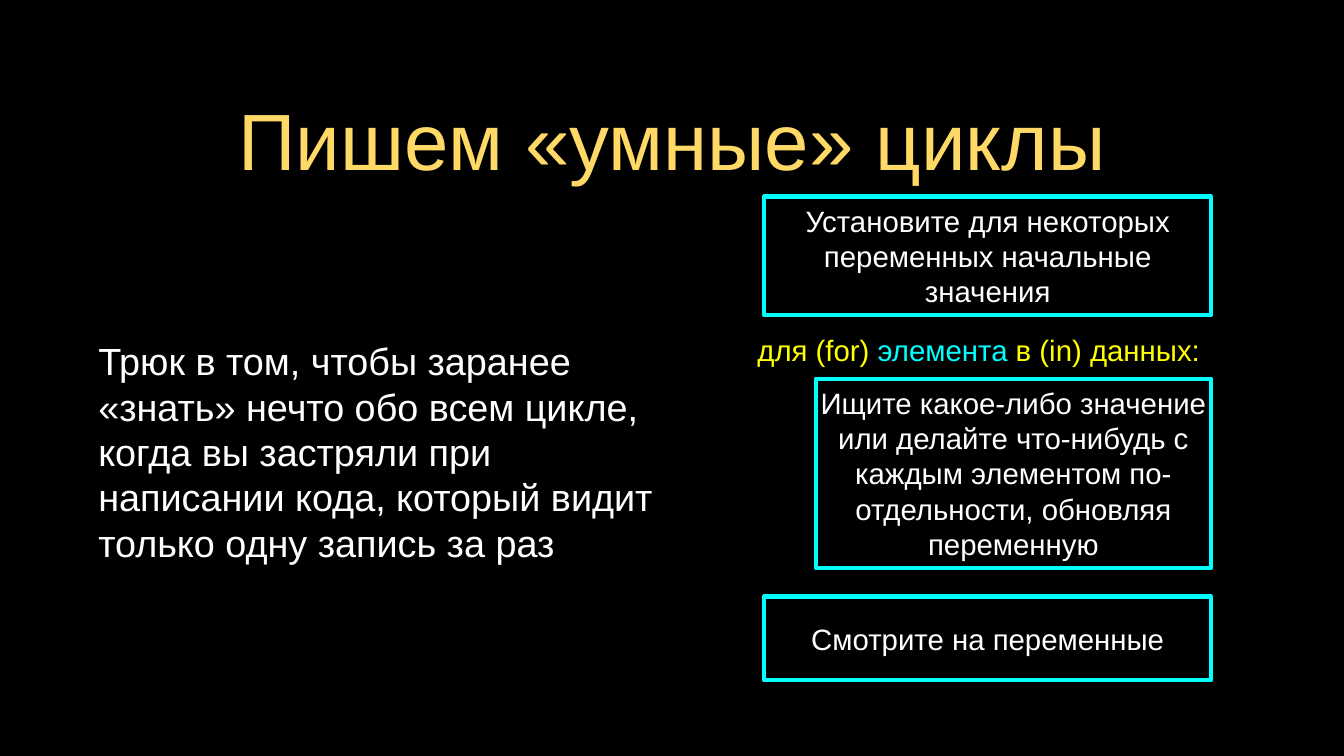
from pptx import Presentation
from pptx.dml.color import RGBColor
from pptx.enum.shapes import MSO_SHAPE
from pptx.enum.text import MSO_ANCHOR, PP_ALIGN
from pptx.util import Inches, Pt

RECT = MSO_SHAPE.RECTANGLE
MIDDLE = MSO_ANCHOR.MIDDLE
LEFT, CENTER = PP_ALIGN.LEFT, PP_ALIGN.CENTER

# Content
COLORS = {"back": "000000", "gold": "FFD966", "white": "FFFFFF",
          "cyan": "00FFFF", "yellow": "FFFF00"}
TITLE = [("Пишем «умные» циклы", "gold")]
BODY = [("Трюк в том, чтобы заранее «знать» нечто обо всем цикле, когда вы "
         "застряли при написании кода, который видит только одну запись за раз",
         "white")]
LOOP = [("для (for) ", "yellow"), ("элемента ", "cyan"),
        ("в (in) данных:", "yellow")]
# Loop steps: text, indent level, top, height
STEPS = [
    ("Установите для некоторых переменных начальные значения", 0, 2.6, 1.57),
    ("Ищите какое-либо значение или делайте что-нибудь с каждым элементом "
     "по-отдельности, обновляя переменную", 1, 5.01, 2.5),
    ("Смотрите на переменные", 0, 7.89, 1.11),
]

# Grid
WIDE, HIGH = 17.78, 10
EDGE = 1.26
COL, END, INDENT = 10.11, 16.02, 0.68
PAD = 0.04
LEAD = 1.2  # line pitch as a share of the text size


def color(name):
    return RGBColor.from_string(COLORS[name])


def write(shape, runs, size, align, pad=0):
    frame = shape.text_frame
    frame.word_wrap = True
    frame.vertical_anchor = MIDDLE
    frame.margin_left = frame.margin_right = Inches(pad)
    frame.margin_top = frame.margin_bottom = Inches(pad)
    para = frame.paragraphs[0]
    para.alignment = align
    para.line_spacing = Pt(size * LEAD)
    for text, tone in runs:
        run = para.add_run()
        run.text = text
        run.font.name = "Arial"
        run.font.size = Pt(size)
        run.font.color.rgb = color(tone)


def label(slide, place, *style):
    box = slide.shapes.add_textbox(*map(Inches, place))
    write(box, *style)


def step(slide, text, level, top, height):
    left = COL + level * INDENT
    place = (left, top, END - left, height)
    box = slide.shapes.add_shape(RECT, *map(Inches, place))
    box.shadow.inherit = False
    box.fill.background()
    box.line.color.rgb = color("cyan")
    box.line.width = Pt(4)
    write(box, [(text, "white")], 28, CENTER)


def main():
    deck = Presentation()
    deck.slide_width, deck.slide_height = Inches(WIDE), Inches(HIGH)
    slide = deck.slides.add_slide(deck.slide_layouts[6])
    slide.background.fill.solid()
    slide.background.fill.fore_color.rgb = color("back")

    # Title and left column
    label(slide, (EDGE, 0.89, WIDE - 2 * EDGE, 1.88), TITLE, 76, CENTER, PAD)
    label(slide, (EDGE, 2.85, 7.49, 6.24), BODY, 36, LEFT, PAD)

    # Loop scheme on the right
    for item in STEPS:
        step(slide, *item)
    label(slide, (10.02, 4.28, 6, 0.68), LOOP, 28, LEFT)

    deck.save("out.pptx")


if __name__ == "__main__":
    main()
